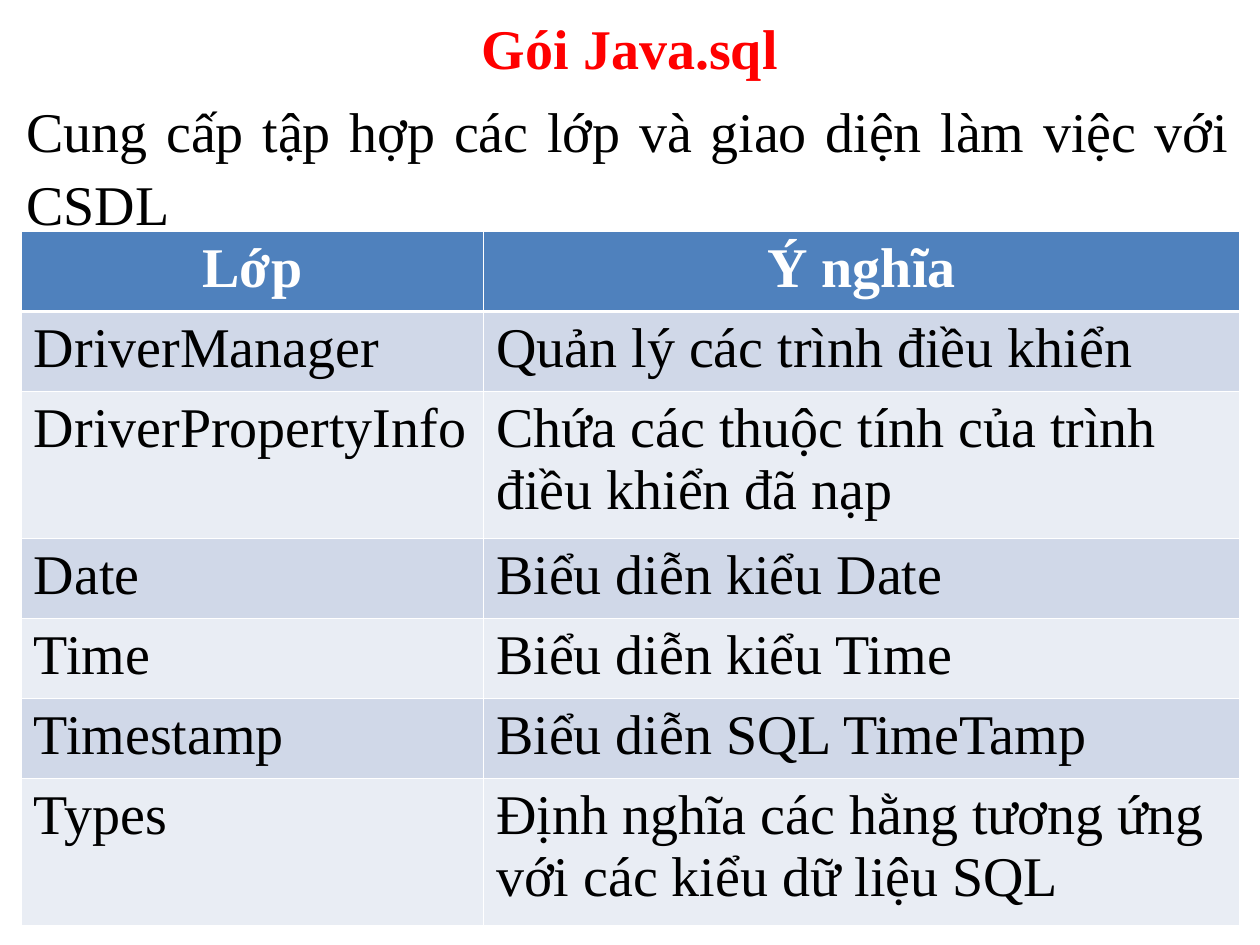
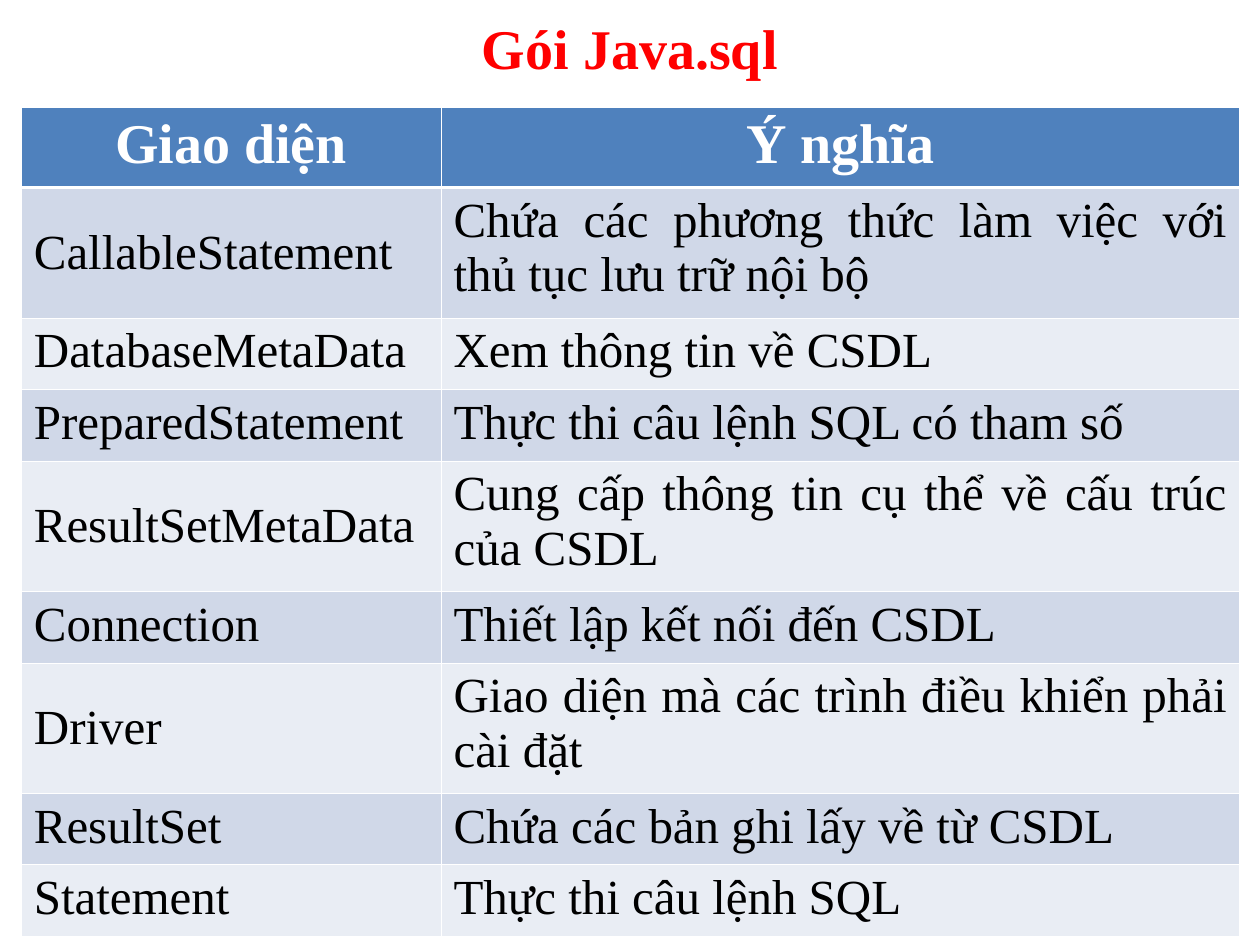
import pptx
import pptx.dml.color
import pptx.enum.text
import pptx.oxml
import pptx.oxml.ns
import pptx.util

Cm = pptx.util.Cm
Pt = pptx.util.Pt
RGBColor = pptx.dml.color.RGBColor
ALIGN = pptx.enum.text.PP_ALIGN
ANCHOR = pptx.enum.text.MSO_ANCHOR

RED = RGBColor(0xFF, 0x00, 0x00)
BLACK = RGBColor(0x00, 0x00, 0x00)
WHITE = RGBColor(0xFF, 0xFF, 0xFF)
HEADER_BLUE = RGBColor(0x4F, 0x81, 0xBD)
BAND_DARK = RGBColor(0xD0, 0xD8, 0xE8)
BAND_LIGHT = RGBColor(0xE9, 0xED, 0xF4)

FONT = "Times New Roman"
THIN, THICK = Pt(0.45), Pt(1.47)
TABLE_LEFT = Cm(0.43)
HEADER_HEIGHT = Cm(1.61)
WRAP_LENGTH = 40

TITLE = {"size": Pt(32), "bold": True}
HEADER = {"size": Pt(32), "bold": True}
INTRO = {"size": Pt(32), "bold": False}


def write_text(frame, text, alignment, color, font_format):
    para = frame.paragraphs[0]
    para.alignment = alignment
    span = para.add_run()
    span.text = text
    span.font.name = FONT
    span.font.color.rgb = color
    for name, value in font_format.items():
        setattr(span.font, name, value)
    return para


def add_borders(cell, top, bottom):
    properties = cell._tc.get_or_add_tcPr()
    for side, width in (("L", THIN), ("R", THIN), ("T", top), ("B", bottom)):
        properties.append(pptx.oxml.parse_xml(
            f'<a:ln{side} {pptx.oxml.ns.nsdecls("a")} w="{width}">'
            f'<a:solidFill><a:srgbClr val="{WHITE}"/></a:solidFill></a:ln{side}>'))


class_rows = [
    ("Lớp", "Ý nghĩa"),
    ("DriverManager", "Quản lý các trình điều khiển"),
    ("DriverPropertyInfo", "Chứa các thuộc tính của trình điều khiển đã nạp"),
    ("Date", "Biểu diễn kiểu Date"),
    ("Time", "Biểu diễn kiểu Time"),
    ("Timestamp", "Biểu diễn SQL TimeTamp"),
    ("Types", "Định nghĩa các hằng tương ứng với các kiểu dữ liệu SQL"),
]
interface_rows = [
    ("Giao diện", "Ý nghĩa"),
    ("CallableStatement", "Chứa các phương thức làm việc với thủ tục lưu trữ nội bộ"),
    ("DatabaseMetaData", "Xem thông tin về CSDL"),
    ("PreparedStatement", "Thực thi câu lệnh SQL có tham số"),
    ("ResultSetMetaData", "Cung cấp thông tin cụ thể về cấu trúc của CSDL"),
    ("Connection", "Thiết lập kết nối đến CSDL"),
    ("Driver", "Giao diện mà các trình điều khiển phải cài đặt"),
    ("ResultSet", "Chứa các bản ghi lấy về từ CSDL"),
    ("Statement", "Thực thi câu lệnh SQL"),
]
page_plans = [
    {"intro": "Cung cấp tập hợp các lớp và giao diện làm việc với CSDL",
     "rows": class_rows, "top": Cm(4.67), "columns": (Cm(9.32), Cm(15.24)),
     "short": Cm(1.61), "tall": Cm(2.96), "size": Pt(32),
     "alignment": ALIGN.LEFT, "name_anchor": ANCHOR.TOP},
    {"intro": None,
     "rows": interface_rows, "top": Cm(2.17), "columns": (Cm(8.46), Cm(16.1)),
     "short": Cm(1.44), "tall": Cm(2.63), "size": Pt(28),
     "alignment": ALIGN.JUSTIFY, "name_anchor": ANCHOR.MIDDLE},
]

deck = pptx.Presentation()
deck.slide_width = Cm(25.4)
deck.slide_height = Cm(19.05)

for plan in page_plans:
    page = deck.slides.add_slide(deck.slide_layouts[6])

    title_box = page.shapes.add_textbox(Cm(1.27), 0, Cm(22.86), Cm(1.9))
    title_box.text_frame.word_wrap = True
    title_box.text_frame.vertical_anchor = ANCHOR.MIDDLE
    write_text(title_box.text_frame, "Gói Java.sql", ALIGN.CENTER, RED, TITLE)

    if plan["intro"]:
        intro_box = page.shapes.add_textbox(Cm(0.28), Cm(1.72), Cm(24.77), Cm(2.9))
        intro_box.text_frame.word_wrap = True
        intro_para = write_text(
            intro_box.text_frame, plan["intro"], ALIGN.JUSTIFY, BLACK, INTRO)
        intro_para.line_spacing = 1.08

    rows = plan["rows"]
    heights = [HEADER_HEIGHT] + [
        plan["tall"] if len(meaning) > WRAP_LENGTH else plan["short"]
        for name, meaning in rows[1:]]
    table = page.shapes.add_table(
        len(rows), 2, TABLE_LEFT, plan["top"], sum(plan["columns"]), sum(heights)).table
    for column, width in zip(table.columns, plan["columns"]):
        column.width = width

    body_format = {"size": plan["size"], "bold": False}
    for row_index, (texts, height) in enumerate(zip(rows, heights)):
        table.rows[row_index].height = height
        is_header = row_index == 0
        band = BAND_DARK if row_index % 2 else BAND_LIGHT
        for column_index, text in enumerate(texts):
            cell = table.cell(row_index, column_index)
            add_borders(cell, THICK if row_index == 1 else THIN,
                        THICK if is_header else THIN)
            cell.fill.solid()
            cell.fill.fore_color.rgb = HEADER_BLUE if is_header else band
            if column_index == 0 and height == plan["tall"]:
                cell.vertical_anchor = plan["name_anchor"]
            if is_header:
                write_text(cell.text_frame, text, ALIGN.CENTER, WHITE, HEADER)
            else:
                write_text(cell.text_frame, text, plan["alignment"], BLACK, body_format)

deck.save("out.pptx")
